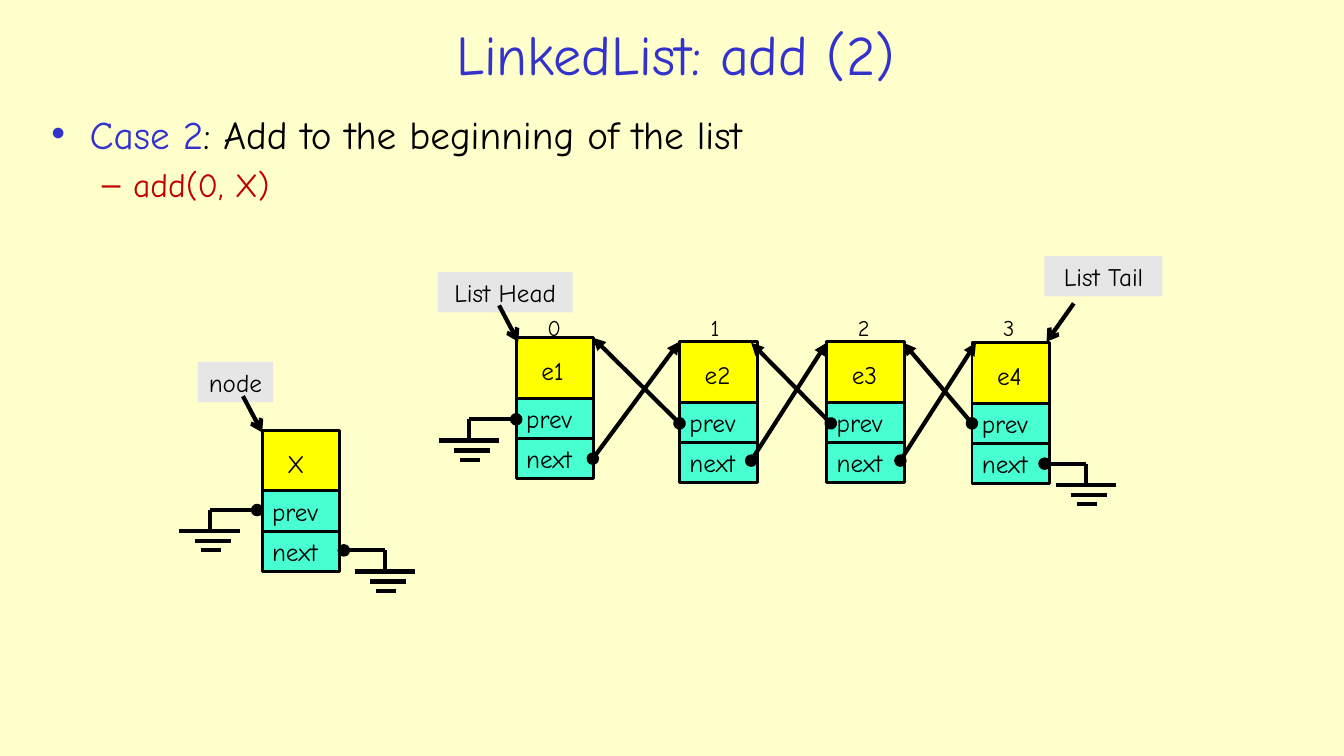
from dataclasses import dataclass

from lxml import etree
from pptx import Presentation
from pptx.dml.color import RGBColor
from pptx.enum import shapes, text
from pptx.oxml import ns
from pptx.util import Inches, Pt


@dataclass(frozen=True)
class Theme:
    font: str = "Comic Neue"
    page: str = "FFFFCC"
    blue: str = "3333CC"
    red: str = "C00000"
    black: str = "000000"
    grey: str = "E6E6E6"
    yellow: str = "FFFF00"
    teal: str = "47FFD1"
    title_size: int = 40
    case_size: int = 28
    call_size: int = 24
    node_size: int = 18
    index_size: int = 16
    border: int = 2
    stroke: int = 3


THEME = Theme()
CELL_WIDTH, VALUE_HEIGHT, LINK_HEIGHT = 0.77, 0.6, 0.4
INDEX_TOP = 3.07


@dataclass(frozen=True)
class Node:
    value: str
    left: float
    top: float
    index: str = ""


@dataclass(frozen=True)
class Label:
    caption: str
    left: float
    top: float
    width: float


@dataclass(frozen=True)
class Link:
    start: tuple[float, float]
    end: tuple[float, float]
    head: str = ""
    tail: str = ""


@dataclass(frozen=True)
class Ground:
    center: float
    top: float
    lead_from: float


NODES = [
    Node("e1", 5.12, 3.35, "0"),
    Node("e2", 6.74, 3.39, "1"),
    Node("e3", 8.2, 3.39, "2"),
    Node("e4", 9.64, 3.4, "3"),
    Node("X", 2.6, 4.27),
]
LABELS = [
    Label("List Head", 4.34, 2.7, 1.34),
    Label("List Tail", 10.36, 2.54, 1.17),
    Label("node", 1.96, 3.59, 0.75),
]
POINTERS = [
    Link((4.95, 3.03), (5.14, 3.39), tail="arrow"),
    Link((10.65, 3.01), (10.38, 3.39), tail="arrow"),
    Link((2.41, 3.93), (2.6, 4.29), tail="arrow"),
]
NODE_LINKS = [
    Link(start, end, "oval", "triangle")
    for start, end in [
        ((5.88, 4.55), (6.74, 3.39)),
        ((6.74, 4.2), (5.88, 3.35)),
        ((7.45, 4.57), (8.2, 3.4)),
        ((8.24, 4.2), (7.45, 3.4)),
        ((8.93, 4.57), (9.68, 3.4)),
        ((9.64, 4.2), (8.96, 3.4)),
    ]
]
GROUNDS = [
    Ground(4.65, 4.16, 5.12),
    Ground(10.77, 4.6, 10.36),
    Ground(2.08, 5.06, 2.55),
    Ground(3.82, 5.46, 3.41),
]
# Drop below the lead, shift from the stem, half width
GROUND_BARS = [(0.21, 0, 0.3), (0.31, 0.03, 0.18), (0.4, 0.01, 0.1)]


def rgb(color: str) -> RGBColor:
    return RGBColor.from_string(color)


def place(box, left: float, top: float, width: float, height: float) -> None:
    box.left, box.top = Inches(left), Inches(top)
    box.width, box.height = Inches(width), Inches(height)


def add_span(para, words: str, size: int, color: str = THEME.black) -> None:
    span = para.add_run()
    span.text = words
    span.font.name = THEME.font
    span.font.size = Pt(size)
    span.font.color.rgb = rgb(color)


def set_bullet(para, mark: str, color: str, margin: float, indent: float) -> None:
    properties = para._p.get_or_add_pPr()
    properties.set("marL", str(Inches(margin)))
    properties.set("indent", str(Inches(indent)))
    bullet_color = etree.SubElement(properties, ns.qn("a:buClr"))
    etree.SubElement(bullet_color, ns.qn("a:srgbClr"), val=color)
    etree.SubElement(properties, ns.qn("a:buFont"), typeface="Arial")
    etree.SubElement(properties, ns.qn("a:buChar"), char=mark)


def add_text(page, words: str, size: int, left: float, top: float, width: float) -> None:
    box = page.shapes.add_textbox(Inches(left), Inches(top), Inches(width), Inches(0.4))
    box.text_frame.word_wrap = True
    add_span(box.text_frame.paragraphs[0], words, size)


def add_cell(page, left: float, top: float, width: float, height: float, fill: str,
             words: str = "", bordered: bool = True, align=text.PP_ALIGN.LEFT) -> None:
    cell = page.shapes.add_shape(shapes.MSO_SHAPE.RECTANGLE, Inches(left), Inches(top),
                                 Inches(width), Inches(height))
    cell.shadow.inherit = False
    cell.fill.solid()
    cell.fill.fore_color.rgb = rgb(fill)
    if bordered:
        cell.line.color.rgb = rgb(THEME.black)
        cell.line.width = Pt(THEME.border)
    else:
        cell.line.fill.background()
    if words:
        frame = cell.text_frame
        frame.word_wrap = bordered
        frame.vertical_anchor = text.MSO_ANCHOR.TOP
        frame.paragraphs[0].alignment = align
        add_span(frame.paragraphs[0], words, THEME.node_size)


def add_link(page, link: Link) -> None:
    points = [Inches(value) for value in (*link.start, *link.end)]
    line = page.shapes.add_connector(shapes.MSO_CONNECTOR.STRAIGHT, *points)
    line.line.color.rgb = rgb(THEME.black)
    line.line.width = Pt(THEME.stroke)
    outline = line.line._get_or_add_ln()
    for tag, kind in (("a:headEnd", link.head), ("a:tailEnd", link.tail)):
        if kind:
            etree.SubElement(outline, ns.qn(tag), type=kind)
    etree.SubElement(line._element.spPr, ns.qn("a:effectLst"))


def add_node(page, node: Node) -> None:
    add_cell(page, node.left, node.top, CELL_WIDTH, VALUE_HEIGHT, THEME.yellow)
    add_text(page, node.value, THEME.node_size, node.left + 0.15, node.top + 0.13, 0.55)
    for row, field in enumerate(("prev", "next")):
        top = node.top + VALUE_HEIGHT + row * LINK_HEIGHT
        add_cell(page, node.left, top, CELL_WIDTH, LINK_HEIGHT, THEME.teal, field)
    if node.index:
        add_text(page, node.index, THEME.index_size, node.left + 0.21, INDEX_TOP, 0.34)


def add_ground(page, ground: Ground) -> None:
    """Draw a null link as an electrical ground sign."""
    center, top = ground.center, ground.top
    add_link(page, Link((center, top), (center, top + GROUND_BARS[0][0])))
    for drop, shift, half in GROUND_BARS:
        middle = center + shift
        add_link(page, Link((middle - half, top + drop), (middle + half, top + drop)))
    add_link(page, Link((ground.lead_from, top), (center, top), head="oval"))


def add_heading(page) -> None:
    title, body = page.shapes.title, page.placeholders[1]
    place(title, 2.02, 0.15, 9.36, 0.76)
    place(body, 0.41, 1.04, 12.41, 1.16)
    for box in (title, body):
        box.text_frame.auto_size = text.MSO_AUTO_SIZE.NONE
    title.text_frame.vertical_anchor = text.MSO_ANCHOR.MIDDLE
    heading = title.text_frame.paragraphs[0]
    heading.alignment = text.PP_ALIGN.CENTER
    add_span(heading, "LinkedList: add (2)", THEME.title_size, THEME.blue)

    case = body.text_frame.paragraphs[0]
    case.space_before = Pt(0)
    set_bullet(case, "•", THEME.blue, 0.38, -0.38)
    add_span(case, "Case 2", THEME.case_size, THEME.blue)
    add_span(case, ": Add to the beginning of the list", THEME.case_size)
    call = body.text_frame.add_paragraph()
    call.level = 1
    call.space_before = Pt(5)
    set_bullet(call, "–", THEME.red, 0.81, -0.31)
    add_span(call, "add(0, X)", THEME.call_size, THEME.red)


def main() -> None:
    deck = Presentation()
    deck.slide_width, deck.slide_height = Inches(13.33), Inches(7.5)
    page = deck.slides.add_slide(deck.slide_layouts[1])
    page.background.fill.solid()
    page.background.fill.fore_color.rgb = rgb(THEME.page)
    add_heading(page)
    for label in LABELS:
        add_cell(page, label.left, label.top, label.width, 0.4, THEME.grey,
                 label.caption, bordered=False, align=text.PP_ALIGN.CENTER)
    for node in NODES:
        add_node(page, node)
    for link in POINTERS + NODE_LINKS:
        add_link(page, link)
    for ground in GROUNDS:
        add_ground(page, ground)
    deck.save("out.pptx")


if __name__ == "__main__":
    main()
